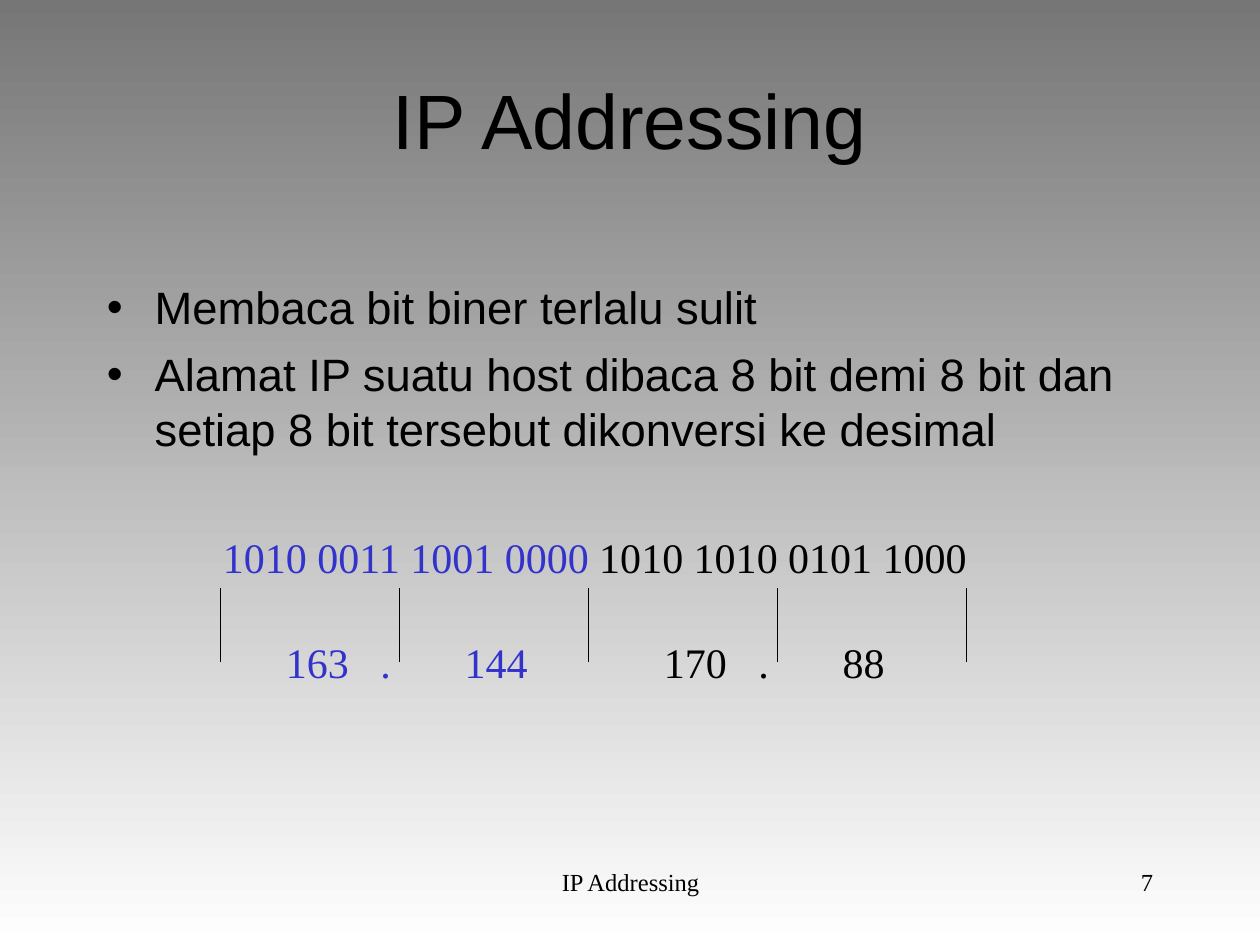
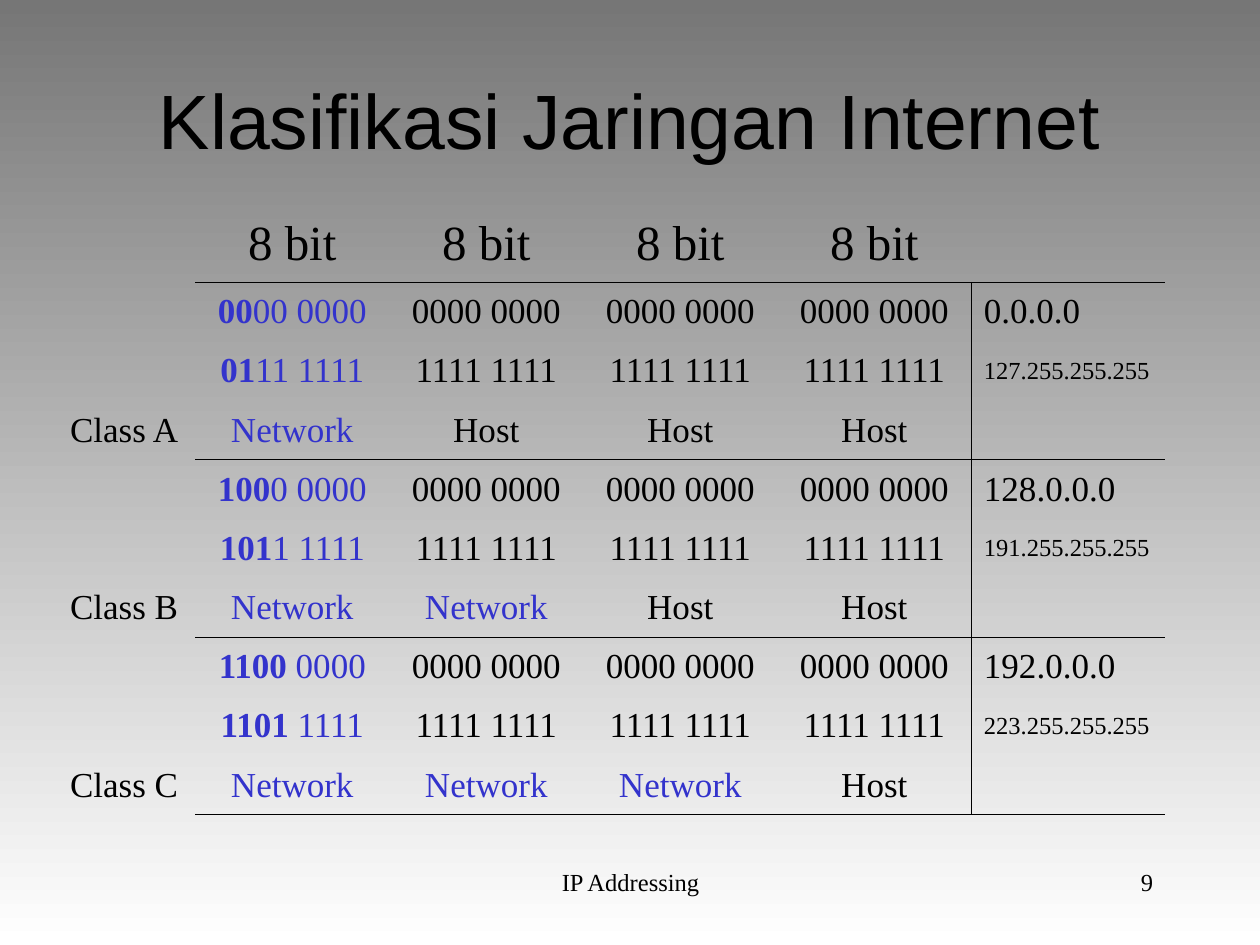
from dataclasses import dataclass

from lxml import etree
from pptx import Presentation
from pptx.dml.color import RGBColor
from pptx.enum.shapes import MSO_CONNECTOR
from pptx.enum.text import MSO_ANCHOR, MSO_AUTO_SIZE, PP_ALIGN
from pptx.oxml.ns import qn
from pptx.util import Inches, Pt

LEFT, CENTER, RIGHT = PP_ALIGN.LEFT, PP_ALIGN.CENTER, PP_ALIGN.RIGHT
TOP, MIDDLE = MSO_ANCHOR.TOP, MSO_ANCHOR.MIDDLE
NO_FIT = MSO_AUTO_SIZE.NONE
STRAIGHT = MSO_CONNECTOR.STRAIGHT
TITLE_ONLY = 5


@dataclass(frozen=True)
class Theme:
    ink: str = "000000"
    network: str = "3333CC"
    background_top: str = "767676"
    background_bottom: str = "FFFFFF"
    sans: str = "Arial"
    serif: str = "Times New Roman"
    title_size: float = 44
    body_size: float = 25.9
    header_size: float = 28
    bits_size: float = 24
    cell_size: float = 20
    small_size: float = 14
    divider_width: float = 0.74
    border_width: float = 0.45


THEME = Theme()
FOOTER = "IP Addressing"

CLASSES = [
    ("Class A", 1, ("00", "00 0000"), ("01", "11 1111"), "0.0.0.0", "127.255.255.255"),
    ("Class B", 2, ("100", "0 0000"), ("101", "1 1111"), "128.0.0.0", "191.255.255.255"),
    ("Class C", 3, ("1100", " 0000"), ("1101", " 1111"), "192.0.0.0", "223.255.255.255"),
]


def add_run(paragraph, text, size, color=THEME.ink, font=THEME.serif, bold=False):
    run = paragraph.add_run()
    run.text = text
    run.font.name = font
    run.font.size = Pt(size)
    run.font.bold = bold
    run.font.color.rgb = RGBColor.from_string(color)


def add_box(shapes, left, top, width, height):
    shape = shapes.add_textbox(Inches(left), Inches(top), Inches(width), Inches(height))
    shape.text_frame.word_wrap = True
    return shape.text_frame


def add_line(shapes, x, top, bottom):
    line = shapes.add_connector(STRAIGHT, Inches(x), Inches(top), Inches(x), Inches(bottom))
    line.line.color.rgb = RGBColor.from_string(THEME.ink)
    line.line.width = Pt(THEME.divider_width)
    etree.SubElement(line._element.spPr, qn("a:effectLst"))


def set_background(presentation):
    fill = presentation.slide_master.background.fill
    fill.gradient()
    fill.gradient_angle = 270
    for stop, color in zip(fill.gradient_stops, (THEME.background_top, THEME.background_bottom)):
        stop.color.rgb = RGBColor.from_string(color)


def place_title(slide, text, left, top, width, height):
    title = slide.shapes.title
    title.left, title.top = Inches(left), Inches(top)
    title.width, title.height = Inches(width), Inches(height)
    frame = title.text_frame
    frame.auto_size = NO_FIT
    frame.word_wrap = True
    frame.vertical_anchor = MIDDLE
    frame.margin_top, frame.margin_bottom = 0, Inches(0.7)
    paragraph = frame.paragraphs[0]
    paragraph.alignment = CENTER
    add_run(paragraph, text, THEME.title_size, font=THEME.sans)


def place_footer(slide, number, top, height):
    for text, left, width, alignment in (
        (FOOTER, 3.42, 3.17, CENTER),
        (number, 7.17, 2.08, RIGHT),
    ):
        paragraph = add_box(slide.shapes, left, top, width, height).paragraphs[0]
        paragraph.alignment = alignment
        add_run(paragraph, text, THEME.small_size)


def start_slide(presentation, title, number):
    slide = presentation.slides.add_slide(presentation.slide_layouts[TITLE_ONLY])
    place_title(slide, title, 0.75, 0.67, 8.5, 1.25)
    place_footer(slide, number, 6.83, 0.5)
    return slide


def place_bullets(slide, texts, left, top, width, height):
    frame = add_box(slide.shapes, left, top, width, height)
    for index, text in enumerate(texts):
        paragraph = frame.add_paragraph() if index else frame.paragraphs[0]
        paragraph.space_before = Pt(7)
        properties = paragraph._p.get_or_add_pPr()
        properties.set("marL", str(Inches(0.38)))
        properties.set("indent", str(-Inches(0.38)))
        color = etree.SubElement(properties, qn("a:buClr"))
        etree.SubElement(color, qn("a:srgbClr"), val=THEME.ink)
        etree.SubElement(properties, qn("a:buFont"), typeface=THEME.sans)
        etree.SubElement(properties, qn("a:buChar"), char="•")
        add_run(paragraph, text, THEME.body_size, font=THEME.sans)


def add_dot(paragraph, color):
    tabs = etree.SubElement(paragraph._p.get_or_add_pPr(), qn("a:tabLst"))
    etree.SubElement(tabs, qn("a:tab"), pos=str(Inches(0.75)), algn="l")
    add_run(paragraph, "\t.", THEME.bits_size, color)


def place_conversion(slide, left, top):
    shapes = slide.shapes.add_group_shape().shapes
    bits = add_box(shapes, left, top, 6.15, 0.5).paragraphs[0]
    add_run(bits, "1010 0011 1001 0000", THEME.bits_size, THEME.network)
    add_run(bits, " 1010 1010 0101 1000", THEME.bits_size)

    pairs = (("163", "144", THEME.network), ("170", "88", THEME.ink))
    for index, (first, second, color) in enumerate(pairs):
        pair_left = left + 0.5 + 3 * index
        paragraph = add_box(shapes, pair_left, top + 0.83, 1.05, 0.5).paragraphs[0]
        add_run(paragraph, first, THEME.bits_size, color)
        add_dot(paragraph, color)
        paragraph = add_box(shapes, pair_left + 1.42, top + 0.83, 0.7, 0.5).paragraphs[0]
        add_run(paragraph, second, THEME.bits_size, color)

    for offset in (0.08, 1.5, 3, 4.5, 6):
        add_line(shapes, left + offset, top + 0.5, top + 1.08)


def set_borders(cell, edges):
    cell.fill.background()
    properties = cell._tc.get_or_add_tcPr()
    for index, edge in enumerate("LRTB"):
        line = etree.Element(qn(f"a:ln{edge}"), w=str(Pt(THEME.border_width)))
        if edge in edges:
            fill = etree.SubElement(line, qn("a:solidFill"))
            etree.SubElement(fill, qn("a:srgbClr"), val=THEME.ink)
        else:
            etree.SubElement(line, qn("a:noFill"))
        properties.insert(index, line)


def cell_edges(row, column):
    edges = ""
    if column and row % 3 == 0:
        edges += "B"
    if column and row % 3 == 1:
        edges += "T"
    if row and column == 4:
        edges += "R"
    if row and column == 5:
        edges += "L"
    return edges


def fill_cell(cell, runs, size=THEME.cell_size, color=THEME.ink, alignment=CENTER, anchor=MIDDLE):
    cell.vertical_anchor = anchor
    paragraph = cell.text_frame.paragraphs[0]
    paragraph.alignment = alignment
    paragraph.space_before = Pt(size / 4)
    for text, bold in runs:
        add_run(paragraph, text, size, color, bold=bold)


def fill_class(table, first_row, name, network_octets, low, high, start, end):
    ranges = ((low, "0000 0000", start, THEME.cell_size), (high, "1111 1111", end, THEME.small_size))
    for row, ((prefix, rest), octet, address, size) in enumerate(ranges, first_row):
        fill_cell(table.cell(row, 1), [(prefix, True), (rest, False)], color=THEME.network)
        for column in range(2, 5):
            fill_cell(table.cell(row, column), [(octet, False)])
        fill_cell(table.cell(row, 5), [(address, False)], size, alignment=LEFT)

    last_row = first_row + 2
    fill_cell(table.cell(last_row, 0), [(name, False)])
    for column in range(1, 5):
        is_network = column <= network_octets
        label, color = ("Network", THEME.network) if is_network else ("Host", THEME.ink)
        fill_cell(table.cell(last_row, column), [(label, False)], color=color)


def place_class_table(slide, left, top, width):
    label_width, header_height, row_height = 1.13, 0.57, 0.47
    row_count, column_count = 1 + 3 * len(CLASSES), 6
    height = header_height + row_height * (row_count - 1)
    table = slide.shapes.add_table(
        row_count, column_count, Inches(left), Inches(top), Inches(width), Inches(height)
    ).table
    table.first_row = table.horz_banding = False
    for index, column in enumerate(table.columns):
        column.width = Inches((width - label_width) / 5 if index else label_width)
    for index, row in enumerate(table.rows):
        row.height = Inches(row_height if index else header_height)
    for row in range(row_count):
        for column in range(column_count):
            set_borders(table.cell(row, column), cell_edges(row, column))

    for column in range(1, 5):
        fill_cell(table.cell(0, column), [("8 bit", False)], THEME.header_size, anchor=TOP)
    for index, network_class in enumerate(CLASSES):
        fill_class(table, 1 + 3 * index, *network_class)


def build_addressing_slide(presentation):
    slide = start_slide(presentation, "IP Addressing", "7")
    bullets = (
        "Membaca bit biner terlalu sulit",
        "Alamat IP suatu host dibaca 8 bit demi 8 bit dan "
        "setiap 8 bit tersebut dikonversi ke desimal",
    )
    place_bullets(slide, bullets, 0.75, 2.17, 8.5, 1.83)
    place_conversion(slide, 1.67, 4.17)


def build_classes_slide(presentation):
    slide = start_slide(presentation, "Klasifikasi Jaringan Internet", "9")
    place_class_table(slide, 0.42, 1.67, 8.83)


def main():
    presentation = Presentation()
    presentation.slide_width = Inches(10)
    presentation.slide_height = Inches(7.5)
    set_background(presentation)
    build_addressing_slide(presentation)
    build_classes_slide(presentation)
    presentation.save("out.pptx")


main()
